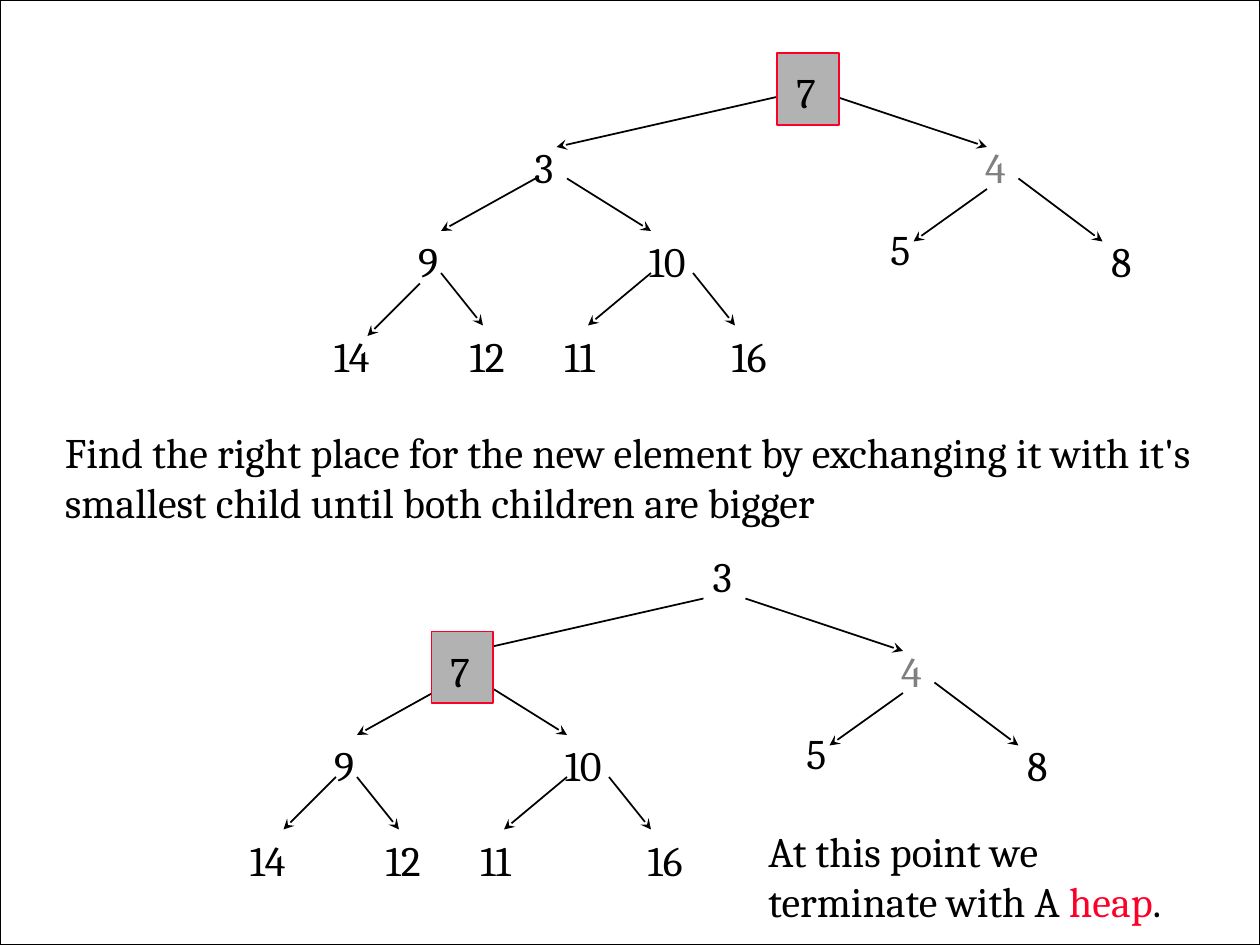
"""Build a slide that shows how a new element sinks to its place in a heap."""
import typing

import pptx
import pptx.dml.color
import pptx.enum.shapes
import pptx.enum.text
import pptx.oxml
import pptx.oxml.ns
import pptx.util

Cm = pptx.util.Cm
BLACK, GREY, RED, SILVER, WHITE = "000000", "808080", "FC0128", "B2B2B2", "FFFFFF"
UNIT = 2.54 / 12


class Node(typing.NamedTuple):
    text: str
    left: float
    top: float
    color: str = BLACK
    boxed: bool = False


class Edge(typing.NamedTuple):
    x1: int
    y1: int
    x2: int
    y2: int


LEAVES = [
    Node("4", 19.61, 2.72, GREY),
    Node("9", 8.18, 4.62),
    Node("10", 12.83, 4.62),
    Node("5", 17.7, 4.39),
    Node("8", 22.15, 4.62),
    Node("14", 6.48, 6.53),
    Node("12", 9.22, 6.53),
    Node("11", 11.13, 6.53),
    Node("16", 14.5, 6.53),
]
EDGES = [
    Edge(75, 9, 53, 14),
    Edge(79, 9, 94, 14),
    Edge(51, 17, 42, 22),
    Edge(54, 17, 62, 22),
    Edge(42, 26, 46, 31),
    Edge(62, 26, 56, 31),
    Edge(66, 26, 70, 31),
    Edge(94, 18, 87, 23),
    Edge(97, 17, 105, 23),
]
BEFORE = [Node("3", 10.52, 2.72), Node("7", 15.8, 1.22, boxed=True)]
AFTER = [Node("3", 15.81, 0.81), Node("7", 10.52, 2.72, boxed=True)]


def rgb(code: str) -> pptx.dml.color.RGBColor:
    return pptx.dml.color.RGBColor.from_string(code)


def rect(slide, left: float, top: float, width: float, height: float,
         fill: str, line: str, weight: float) -> None:
    shape = slide.shapes.add_shape(pptx.enum.shapes.MSO_SHAPE.RECTANGLE,
                                   Cm(left), Cm(top), Cm(width), Cm(height))
    shape.shadow.inherit = False
    shape.fill.solid()
    shape.fill.fore_color.rgb = rgb(fill)
    shape.line.color.rgb = rgb(line)
    shape.line.width = pptx.util.Pt(weight)


def write(slide, text: str, left: float, top: float, width: float, *,
          height: float = 1.27, color: str = BLACK, wrap: bool = False,
          accent: str = "") -> None:
    box = slide.shapes.add_textbox(Cm(left), Cm(top), Cm(width), Cm(height))
    frame = box.text_frame
    frame.word_wrap = wrap
    frame.auto_size = pptx.enum.text.MSO_AUTO_SIZE.SHAPE_TO_FIT_TEXT
    head, mark, tail = text.partition(accent) if accent else (text, "", "")
    for part, tint in ((head, color), (mark, RED), (tail, color)):
        if part:
            run = frame.paragraphs[0].add_run()
            run.text = part
            run.font.name = "Cambria"
            run.font.size = pptx.util.Pt(24)
            run.font.color.rgb = rgb(tint)


def arrow(slide, edge: Edge, dx: int, dy: int) -> None:
    ends = (edge.x1 + dx, edge.y1 + dy, edge.x2 + dx, edge.y2 + dy)
    link = slide.shapes.add_connector(pptx.enum.shapes.MSO_CONNECTOR.STRAIGHT,
                                      *(Cm(end * UNIT) for end in ends))
    link.line.color.rgb = rgb(BLACK)
    link.line.width = pptx.util.Pt(1)
    tip = pptx.oxml.parse_xml(
        f'<a:tailEnd {pptx.oxml.ns.nsdecls("a")} type="stealth"/>')
    link.line._get_or_add_ln().append(tip)
    link._element.spPr.append(
        pptx.oxml.parse_xml(f'<a:effectLst {pptx.oxml.ns.nsdecls("a")}/>'))


def tree(slide, nodes: list[Node], edges: list[Edge], dx: int = 0, dy: int = 0) -> None:
    for edge in edges:
        arrow(slide, edge, dx, dy)
    for node in nodes:
        left, top = node.left + dx * UNIT, node.top + dy * UNIT
        if node.boxed:
            rect(slide, left - 0.13, top - 0.15, 1.24, 1.45, SILVER, RED, 1)
        write(slide, node.text, left, top, 0.5 + 0.49 * len(node.text), color=node.color)


def main() -> None:
    deck = pptx.Presentation()
    deck.slide_width, deck.slide_height = Cm(25.4), Cm(19.05)
    slide = deck.slides.add_slide(deck.slide_layouts[6])
    rect(slide, 0, 0, 25.4, 19.05, WHITE, BLACK, 0.75)
    tree(slide, LEAVES + BEFORE, EDGES + [Edge(40, 27, 35, 32)])
    write(slide, "Find the right place for the new element by exchanging it with "
          "it's smallest child until both children are bigger",
          1.06, 8.47, 24.13, height=2.29, wrap=True)
    tree(slide, LEAVES + AFTER, EDGES + [Edge(40, 26, 35, 31)], -8, 48)
    write(slide, "At this point we terminate with A heap.", 15.24, 16.51, 9.31,
          height=2.29, wrap=True, accent="heap")
    deck.save("out.pptx")


if __name__ == "__main__":
    main()
